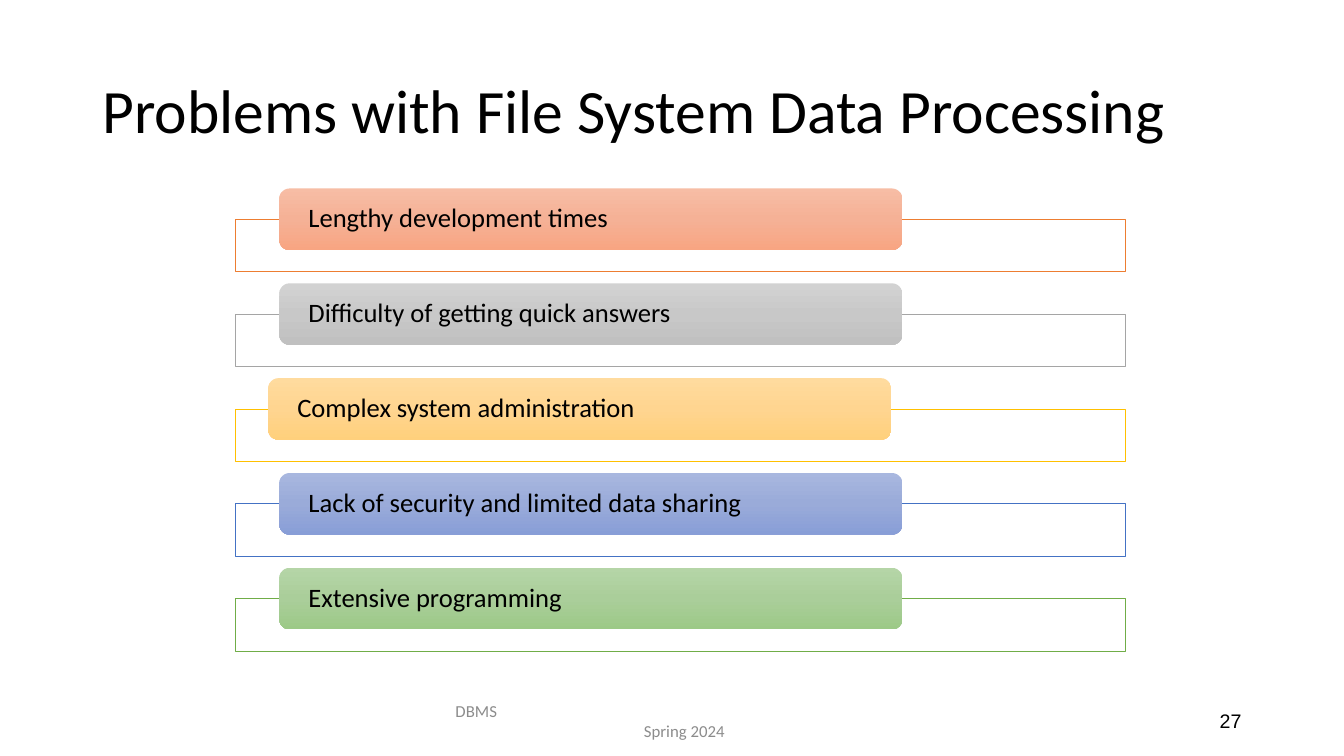
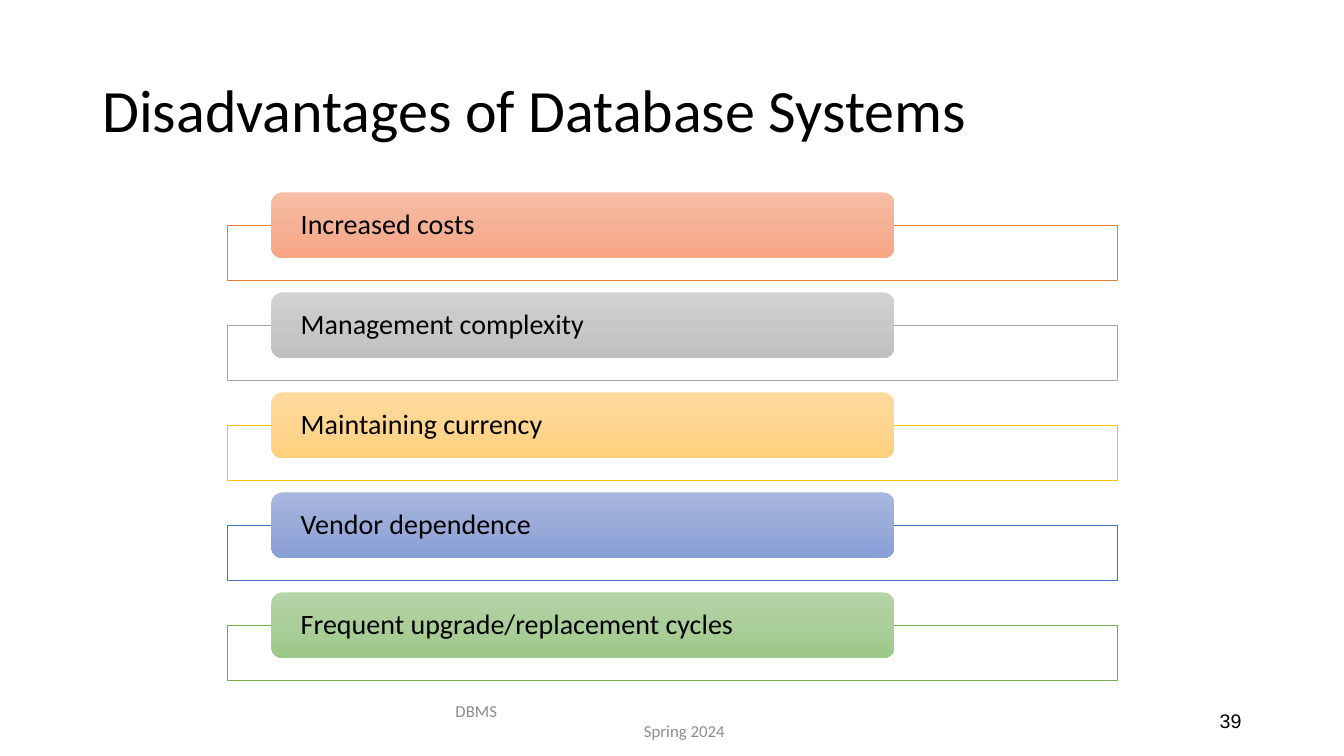
from copy import deepcopy

from lxml.etree import SubElement
from pptx import Presentation
from pptx.dml.color import RGBColor as Rgb
from pptx.enum.shapes import MSO_SHAPE as Shape
from pptx.enum.text import MSO_ANCHOR as Anchor, MSO_AUTO_SIZE as Fit, PP_ALIGN as Align
from pptx.oxml.ns import qn
from pptx.util import Cm, Pt


class Theme:
    ink, mute, white = "000000", "8C8C8C", "FFFFFF"
    sans, plain = "Calibri", "Arial"
    foot, num = 12, 14
    # Frame line, then the card's gradient from top to bottom
    rows = [
        ("ED7D31", ("F7BDA5", "F5B196", "F8A582")),
        ("A5A5A5", ("D2D2D2", "C8C8C8", "C0C0C0")),
        ("FFC000", ("FFDB9E", "FFD590", "FFD07C")),
        ("4472C4", ("A8B7DF", "9AABD9", "889ED7")),
        ("70AD47", ("B5D5A7", "AACE9A", "9CC987")),
    ]


def write(shape, text, size, font=Theme.sans, color=Theme.ink,
          align=Align.LEFT, space=1.0, inset=0.25, pad=0.13):
    frame = shape.text_frame
    frame.text = text
    frame.word_wrap = True
    frame.auto_size = Fit.NONE
    frame.vertical_anchor = Anchor.MIDDLE
    frame.margin_left = frame.margin_right = Cm(inset)
    frame.margin_top = frame.margin_bottom = Cm(pad)
    for para in frame.paragraphs:
        para.alignment = align
        para.line_spacing = space
        para.font.size = Pt(size)
        para.font.name = font
        para.font.color.rgb = Rgb.from_string(color)
    return frame


# Items carry their text and a sideways shift of the card
slides = [
    dict(title="Problems with File System Data Processing", head=44, page="27",
         left=5.92, top=4.75, pitch=2.39, card=1.55, frame=1.32, size=19,
         items=[("Lengthy development times", 0),
                ("Difficulty of getting quick answers", 0),
                ("Complex system administration", -0.28),
                ("Lack of security and limited data sharing", 0),
                ("Extensive programming", 0)]),
    dict(title="Disadvantages of Database Systems", head=42.9, page="39",
         left=5.72, top=4.85, pitch=2.52, card=1.65, frame=1.4, size=20,
         items=[("Increased costs", 0),
                ("Management complexity", 0),
                ("Maintaining currency", 0),
                ("Vendor dependence", 0),
                ("Frequent upgrade/replacement cycles", 0)]),
]

deck = Presentation()
deck.slide_width, deck.slide_height = Cm(33.87), Cm(19.05)

# Shared title place
layout = deck.slide_layouts[5]
for hold in layout.placeholders:
    if hold.placeholder_format.idx == 0:
        hold.left, hold.top = Cm(2.33), Cm(1.01)
        hold.width, hold.height = Cm(29.21), Cm(3.68)

for data in slides:
    slide = deck.slides.add_slide(layout)
    shapes = slide.shapes
    write(shapes.title, data["title"], data["head"], space=0.9)

    # Page number
    box = shapes.add_textbox(Cm(23.92), Cm(17.66), Cm(7.62), Cm(1.01))
    write(box, data["page"], Theme.num, font=Theme.plain, align=Align.RIGHT)

    # List of cards, each over the top edge of its frame
    for row, ((text, shift), (edge, tones)) in enumerate(zip(data["items"], Theme.rows)):
        top = data["top"] + row * data["pitch"]
        frame = shapes.add_shape(
            Shape.RECTANGLE, Cm(data["left"]), Cm(top + data["card"] / 2),
            Cm(22.43), Cm(data["frame"]))
        frame.shadow.inherit = False
        frame.fill.solid()
        frame.fill.fore_color.rgb = Rgb.from_string(Theme.white)
        tint = frame._element.spPr.find(qn("a:solidFill"))[0]
        SubElement(tint, qn("a:alpha")).set("val", "90000")
        frame.line.color.rgb = Rgb.from_string(edge)
        frame.line.width = Pt(0.5)

        card = shapes.add_shape(
            Shape.ROUNDED_RECTANGLE, Cm(data["left"] + 1.12 + shift), Cm(top),
            Cm(15.7), Cm(data["card"]))
        card.shadow.inherit = False
        card.line.fill.background()
        card.fill.gradient()
        card.fill.gradient_angle = 270
        stops = card._element.spPr.find(qn("a:gradFill")).find(qn("a:gsLst"))
        stops.insert(1, deepcopy(stops[0]))
        for step, (stop, tone) in enumerate(zip(card.fill.gradient_stops, tones)):
            stop.position = step / 2
            stop.color.rgb = Rgb.from_string(tone)
        write(card, text, data["size"], space=0.9, inset=0.66, pad=0)

    # Footer: course at the left, term centred below
    box = shapes.add_textbox(Cm(11.23), Cm(17.66), Cm(11.43), Cm(1.01))
    foot = write(box, "DBMS\nSpring 2024", Theme.foot, color=Theme.mute)
    term = foot.paragraphs[1]
    term.alignment = Align.CENTER
    term._p.get_or_add_pPr().set("marL", str(Cm(0.6)))

deck.save("out.pptx")
